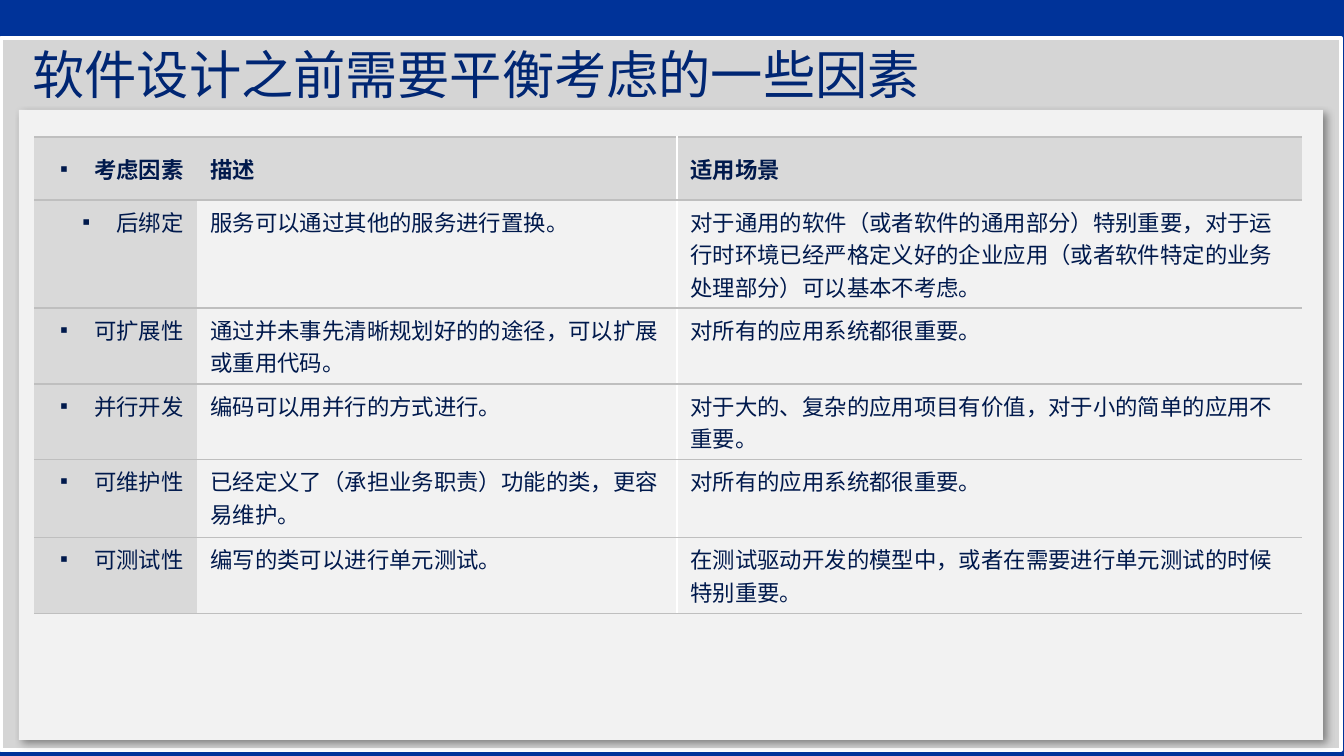
from lxml import etree
from pptx import Presentation
from pptx import util as u
from pptx.dml.color import RGBColor
from pptx.enum import shapes, text
from pptx.oxml import parse_xml
from pptx.oxml.ns import nsdecls, qn

# Content
TITLE = "软件设计之前需要平衡考虑的一些因素"
HEADER = ("考虑因素", "描述", "适用场景")
FACTORS = [
    ("后绑定", "服务可以通过其他的服务进行置换。",
     "对于通用的软件（或者软件的通用部分）特别重要，对于运行时环境已经严格定义好的企业应用（或者软件特定的业务处理部分）可以基本不考虑。"),
    ("可扩展性", "通过并未事先清晰规划好的的途径，可以扩展或重用代码。",
     "对所有的应用系统都很重要。"),
    ("并行开发", "编码可以用并行的方式进行。",
     "对于大的、复杂的应用项目有价值，对于小的简单的应用不重要。"),
    ("可维护性", "已经定义了（承担业务职责）功能的类，更容易维护。",
     "对所有的应用系统都很重要。"),
    ("可测试性", "编写的类可以进行单元测试。",
     "在测试驱动开发的模型中，或者在需要进行单元测试的时候特别重要。"),
]

THEME = {
    "background": "003399", "frame": "D5D5D5", "panel": "F2F2F2",
    "white": "FFFFFF", "rule": "BFBFBF", "shade": "D9D9D9", "shadow": "000000",
    "title": "002673", "body": "00194C",
    "title_font": "Roboto", "body_font": "Arial",
    "title_size": 28, "body_size": 12,
}

# Layout in px
SLIDE = (1344, 756)
FRAME = (1, 38, 1340, 712)
PANEL = (19, 110, 1304, 630)
TITLE_BOX = (19, 48, 1302, 52)
TABLE_AT = (34, 137)
COLUMNS = (163, 480, 625)
ROWS = (63, 103, 74, 74, 78, 66)
BULLET_INDENT = 34
SCALE = 914400 / 134.4


def px(length):
    return u.Emu(round(length * SCALE))


def color(name):
    return RGBColor.from_string(THEME[name])


def write(frame, words, font="body_font", size="body_size", ink="body",
          bold=False, align=text.PP_ALIGN.LEFT, anchor=text.MSO_ANCHOR.TOP):
    frame.word_wrap = True
    frame.vertical_anchor = anchor
    para = frame.paragraphs[0]
    para.alignment = align
    run = para.add_run()
    run.text = words
    run.font.name = THEME[font]
    run.font.size = u.Pt(THEME[size])
    run.font.bold = bold
    run.font.color.rgb = color(ink)
    return para


def add_bullet(para):
    props = para._p.get_or_add_pPr()
    props.set("marL", str(px(BULLET_INDENT)))
    props.set("indent", str(-px(BULLET_INDENT)))
    before = etree.SubElement(props, qn("a:spcBef"))
    etree.SubElement(before, qn("a:spcPct"), val="20000")
    etree.SubElement(props, qn("a:buFont"), typeface=THEME["body_font"])
    etree.SubElement(props, qn("a:buChar"), char="▪")


def add_border(cell, side, ink=None):
    paint = (f'<a:solidFill><a:srgbClr val="{THEME[ink]}"/></a:solidFill>'
             if ink else "<a:noFill/>")
    cell._tc.get_or_add_tcPr().append(parse_xml(
        f'<a:ln{side} {nsdecls("a")} w="{u.Pt(1)}">{paint}</a:ln{side}>'))


def add_rect(slide, box, fill):
    rect = slide.shapes.add_shape(shapes.MSO_SHAPE.RECTANGLE, *map(px, box))
    rect.shadow.inherit = False
    rect.fill.solid()
    rect.fill.fore_color.rgb = color(fill)
    rect.line.fill.background()
    return rect


def add_backdrop(slide):
    slide.background.fill.solid()
    slide.background.fill.fore_color.rgb = color("background")
    frame = add_rect(slide, FRAME, "frame")
    frame.line.color.rgb = color("white")
    frame.line.width = u.Pt(2)
    panel = add_rect(slide, PANEL, "panel")
    effects = panel._element.spPr.find(qn("a:effectLst"))
    effects.append(parse_xml(
        f'<a:outerShdw {nsdecls("a")} blurRad="{u.Pt(4)}" dist="{u.Pt(3)}" '
        f'dir="2700000" algn="tl" rotWithShape="0">'
        f'<a:srgbClr val="{THEME["shadow"]}"><a:alpha val="40000"/></a:srgbClr>'
        f'</a:outerShdw>'))


def add_title(slide):
    title = slide.shapes.title
    title.left, title.top, title.width, title.height = map(px, TITLE_BOX)
    title.text_frame.auto_size = text.MSO_AUTO_SIZE.NONE
    write(title.text_frame, TITLE, font="title_font", size="title_size",
          ink="title", anchor=text.MSO_ANCHOR.MIDDLE)
    # Bring the title in front of the backdrop
    title.element.getparent().append(title.element)


def add_factor_table(slide):
    rows = [HEADER, *FACTORS]
    table = slide.shapes.add_table(
        len(rows), len(COLUMNS), *map(px, TABLE_AT),
        px(sum(COLUMNS)), px(sum(ROWS))).table
    table.horz_banding = False
    for column, width in zip(table.columns, COLUMNS):
        column.width = px(width)
    for r, (row, height) in enumerate(zip(rows, ROWS)):
        table.rows[r].height = px(height)
        for c, words in enumerate(row):
            cell = table.cell(r, c)
            is_header, is_factor = r == 0, c == 0
            cell.margin_left = cell.margin_right = u.Inches(0.1)
            cell.margin_top = cell.margin_bottom = u.Inches(0.04)
            cell.vertical_anchor = (text.MSO_ANCHOR.MIDDLE if is_header
                                    else text.MSO_ANCHOR.TOP)
            para = write(
                cell.text_frame, words, bold=is_header,
                align=text.PP_ALIGN.RIGHT if is_factor else text.PP_ALIGN.LEFT,
                anchor=None)
            if is_factor:
                add_bullet(para)
            # White rule between the last two columns, grey rules between rows
            add_border(cell, "L", "white" if c == 2 else None)
            add_border(cell, "R", "white" if c == 1 else None)
            add_border(cell, "T", "rule")
            add_border(cell, "B", "rule")
            if is_header or is_factor:
                cell.fill.solid()
                cell.fill.fore_color.rgb = color("shade")
            else:
                cell.fill.background()


def main():
    deck = Presentation()
    deck.slide_width, deck.slide_height = map(px, SLIDE)
    slide = deck.slides.add_slide(deck.slide_layouts.get_by_name("Title Only"))
    add_backdrop(slide)
    add_title(slide)
    add_factor_table(slide)
    deck.save("out.pptx")


if __name__ == "__main__":
    main()
